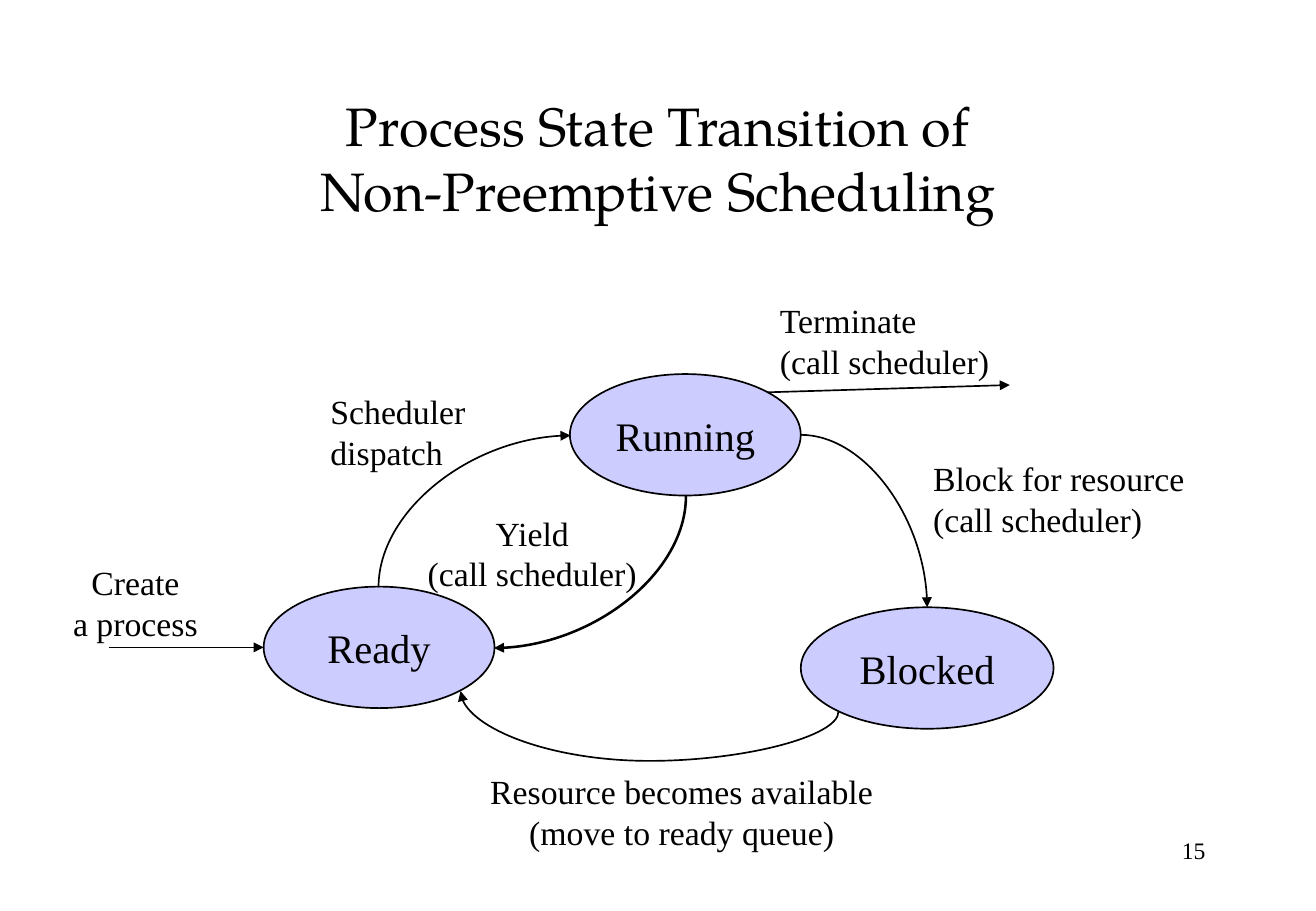
import dataclasses
from typing import Optional

import pptx
import pptx.dml.color
import pptx.enum.shapes
import pptx.enum.text
import pptx.oxml
import pptx.oxml.ns
import pptx.util

Inches = pptx.util.Inches
Pt = pptx.util.Pt
Color = pptx.dml.color.RGBColor
Align = pptx.enum.text.PP_ALIGN
Anchor = pptx.enum.text.MSO_ANCHOR
AutoSize = pptx.enum.text.MSO_AUTO_SIZE
Connector = pptx.enum.shapes.MSO_CONNECTOR


@dataclasses.dataclass(frozen=True)
class Theme:
    ink: Color = Color.from_string("000000")
    state_fill: Color = Color.from_string("CCCCFF")
    title_font: str = "TeX Gyre Pagella"
    body_font: str = "Times New Roman"
    title_size: int = 32
    state_size: int = 24
    label_size: int = 20
    label_leading: int = 24
    number_size: int = 14


@dataclasses.dataclass(frozen=True)
class State:
    name: str
    left: float
    top: float
    width: float
    height: float = 1


@dataclasses.dataclass(frozen=True)
class Label:
    lines: tuple[str, ...]
    left: float
    top: float
    width: float
    align: Align = Align.LEFT
    height: float = 0.77


@dataclasses.dataclass(frozen=True)
class Arrow:
    start: tuple[float, float]
    end: tuple[float, float]


@dataclasses.dataclass(frozen=True)
class Curve:
    """A curved arrow, given by its box before rotation."""
    left: float
    top: float
    width: float
    height: float
    rotation: int = 0
    flipped: bool = False
    bulge: Optional[float] = None
    weight: float = 1


THEME = Theme()

STATES = (
    State("Running", 4.69, 3.08, 1.9),
    State("Blocked", 6.59, 5, 2.08),
    State("Ready", 2.17, 4.83, 1.9),
)
CURVES = (
    Curve(3.28, 3.42, 1.25, 1.58, rotation=270),  # Ready to Running
    Curve(6.59, 3.58, 1.04, 1.42),  # Running to Blocked
    Curve(5.26, 4.22, 0.17, 3.11, rotation=270, flipped=True, bulge=-2.38),  # Blocked to Ready
    Curve(4.23, 3.92, 1.25, 1.58, rotation=90, weight=1.5),  # Running to Ready
)
ARROWS = (
    Arrow((0.9, 5.33), (2.17, 5.33)),  # create
    Arrow((6.31, 3.23), (8.31, 3.17)),  # terminate
)
LABELS = (
    Label(("Resource becomes available", "(move to ready queue)"), 3.8, 6.3, 3.62, Align.CENTER),
    Label(("Create", "a process"), 0.45, 4.58, 1.33, Align.CENTER),
    Label(("Terminate", "(call scheduler)"), 6.32, 2.42, 2.08),
    Label(("Yield", "(call scheduler)"), 3.34, 4.17, 2.08, Align.CENTER),
    Label(("Block for resource", "(call scheduler)"), 7.58, 3.72, 2.45),
    Label(("Scheduler", "dispatch"), 2.62, 3.17, 1.42),
)


def apply_format(target, values: dict) -> None:
    for name, value in values.items():
        setattr(target, name, value)


def write_text(shape, lines: tuple[str, ...], size: int, frame_format: dict,
               paragraph_format: dict, font: str = THEME.body_font) -> None:
    frame = shape.text_frame
    apply_format(frame, frame_format)
    for index, line in enumerate(lines):
        paragraph = frame.add_paragraph() if index else frame.paragraphs[0]
        paragraph.text = line
        apply_format(paragraph, paragraph_format)
        for run in paragraph.runs:
            apply_format(run.font, {"name": font, "size": Pt(size)})
            run.font.color.rgb = THEME.ink


def add_text_box(slide, left: float, top: float, width: float, height: float):
    return slide.shapes.add_textbox(Inches(left), Inches(top), Inches(width), Inches(height))


def add_state(slide, state: State) -> None:
    shape = slide.shapes.add_shape(
        pptx.enum.shapes.MSO_SHAPE.OVAL, Inches(state.left), Inches(state.top),
        Inches(state.width), Inches(state.height))
    shape.shadow.inherit = False
    shape.fill.solid()
    shape.fill.fore_color.rgb = THEME.state_fill
    shape.line.color.rgb = THEME.ink
    shape.line.width = Pt(1)
    write_text(shape, (state.name,), THEME.state_size,
               {"word_wrap": False, "vertical_anchor": Anchor.MIDDLE},
               {"alignment": Align.CENTER})


def add_arrow(slide, arrow: Arrow, kind: Connector = Connector.STRAIGHT, weight: float = 1):
    connector = slide.shapes.add_connector(
        kind, *(Inches(value) for value in (*arrow.start, *arrow.end)))
    connector.line.color.rgb = THEME.ink
    connector.line.width = Pt(weight)
    namespace = pptx.oxml.ns.nsdecls("a")
    connector.line._get_or_add_ln().append(
        pptx.oxml.parse_xml(f'<a:tailEnd {namespace} type="triangle"/>'))
    connector._element.spPr.append(pptx.oxml.parse_xml(f"<a:effectLst {namespace}/>"))
    return connector


def add_curve(slide, curve: Curve) -> None:
    box = Arrow((curve.left, curve.top), (curve.left + curve.width, curve.top + curve.height))
    properties = add_arrow(slide, box, Connector.CURVE, curve.weight)._element.spPr
    transform = properties.find(pptx.oxml.ns.qn("a:xfrm"))
    transform.set("rot", str(curve.rotation * 60000))
    if curve.flipped:
        transform.set("flipV", "1")
    geometry = properties.find(pptx.oxml.ns.qn("a:prstGeom"))
    if curve.bulge is None:
        geometry.set("prst", "curvedConnector2")
    else:
        adjustments = geometry.find(pptx.oxml.ns.qn("a:avLst"))
        adjustments.append(pptx.oxml.parse_xml(
            f'<a:gd {pptx.oxml.ns.nsdecls("a")} name="adj1" '
            f'fmla="val {round(curve.bulge * 100000)}"/>'))


def add_label(slide, label: Label) -> None:
    box = add_text_box(slide, label.left, label.top, label.width, label.height)
    write_text(box, label.lines, THEME.label_size,
               {"word_wrap": False, "auto_size": AutoSize.SHAPE_TO_FIT_TEXT},
               {"alignment": label.align, "line_spacing": Pt(THEME.label_leading)})


def main() -> None:
    presentation = pptx.Presentation()
    apply_format(presentation, {"slide_width": Inches(10.83), "slide_height": Inches(7.5)})
    slide = presentation.slides.add_slide(presentation.slide_layouts[6])

    # Title
    write_text(add_text_box(slide, 0.81, 0.67, 9.21, 1.25),
               ("Process State Transition of\vNon-Preemptive Scheduling",), THEME.title_size,
               {"word_wrap": True, "vertical_anchor": Anchor.MIDDLE},
               {"alignment": Align.CENTER}, THEME.title_font)

    # State diagram
    for state in STATES:
        add_state(slide, state)
    for curve in CURVES:
        add_curve(slide, curve)
    for arrow in ARROWS:
        add_arrow(slide, arrow)
    for label in LABELS:
        add_label(slide, label)

    # Slide number
    write_text(add_text_box(slide, 7.76, 6.83, 2.26, 0.5), ("15",), THEME.number_size,
               {"word_wrap": True}, {"alignment": Align.RIGHT})

    presentation.save("out.pptx")


if __name__ == "__main__":
    main()
